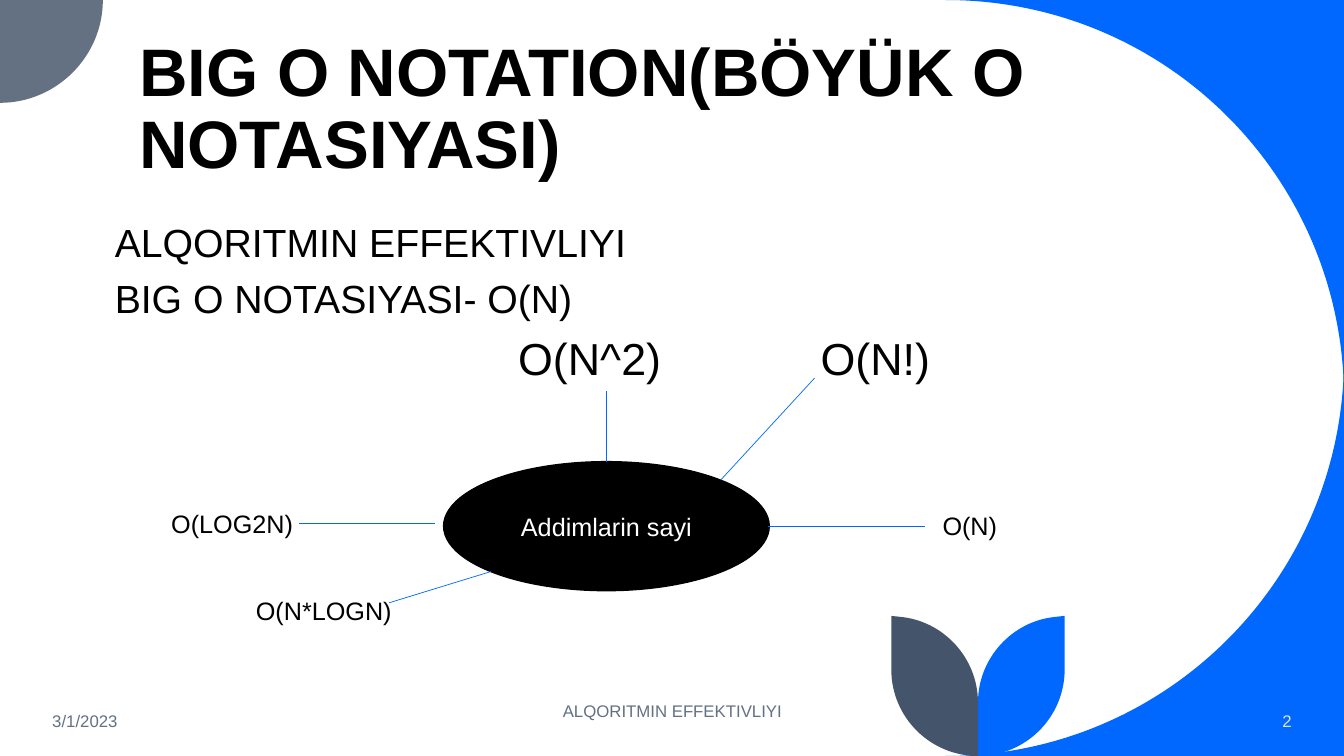
"""Build the Big O notation slide with its complexity diagram."""
from dataclasses import dataclass
from typing import Optional

from lxml import etree
from pptx import Presentation
from pptx.dml.color import RGBColor
from pptx.enum.shapes import MSO_CONNECTOR, MSO_SHAPE
from pptx.enum.text import MSO_ANCHOR, MSO_AUTO_SIZE, PP_ALIGN
from pptx.oxml.ns import qn
from pptx.util import Inches, Pt

Point = tuple[float, float]


@dataclass(frozen=True)
class Theme:
    font: str = "Arial"
    black: str = "000000"
    white: str = "FFFFFF"
    blue: str = "0068FF"
    slate: str = "637183"
    navy: str = "44546A"
    pale: str = "DAE5EF"
    title: int = 48
    large: int = 32
    body: int = 28
    label: int = 18
    footer: int = 12


@dataclass(frozen=True)
class Label:
    text: str
    box: tuple[float, float, float, float]
    size: int
    color: str
    align: PP_ALIGN = PP_ALIGN.LEFT
    anchor: MSO_ANCHOR = MSO_ANCHOR.TOP
    wrap: bool = True


@dataclass(frozen=True)
class Outline:
    start: Point
    segments: tuple[tuple[Point, ...], ...]
    color: str
    mirror_x: Optional[float] = None
    mirror_y: Optional[float] = None

    def place(self, point: Point) -> Point:
        x, y = point
        if self.mirror_x is not None:
            x = 2 * self.mirror_x - x
        if self.mirror_y is not None:
            y = 2 * self.mirror_y - y
        return Inches(x), Inches(y)


T = Theme()
WIDTH, HEIGHT = 13.33, 7.5

CORNER = ((WIDTH, 0), (((9.38, 0),), ((11.57, 0), (WIDTH, 1.77), (WIDTH, 3.95))))
QUARTER = ((0, 0), (((1.02, 0),), ((1.02, 0.56), (0.56, 1.02), (0, 1.02))))
LEAF = ((10.56, 6.11), (
    ((10.56, 6.64),),
    ((10.56, 7.12), (10.17, 7.5), (9.7, 7.5)),
    ((9.7, 6.97),),
    ((9.7, 6.53), (10.04, 6.16), (10.47, 6.12)),
))
OUTLINES = (
    Outline(*CORNER, T.blue),
    Outline(*CORNER, T.blue, mirror_y=HEIGHT / 2),
    Outline(*QUARTER, T.slate),
    Outline(*LEAF, T.blue),
    Outline(*LEAF, T.navy, mirror_x=9.7),
)
LABELS = (
    Label("O(N)", (9.25, 5.01, 0.77, 0.4), T.label, T.black),
    Label("O(LOG2N)", (1.6, 4.99, 1.49, 0.4), T.label, T.black),
    Label("O(N*LOGN)", (2.44, 5.86, 1.56, 0.4), T.label, T.black, wrap=False),
    Label("3/1/2023", (0.42, 6.95, 3, 0.4), T.footer, T.slate,
          anchor=MSO_ANCHOR.MIDDLE),
    Label("ALQORITMIN EFFEKTIVLIYI", (4.42, 6.85, 4.5, 0.4), T.footer, T.slate,
          PP_ALIGN.CENTER, MSO_ANCHOR.MIDDLE),
    Label("2", (11.1, 6.95, 1.81, 0.4), T.footer, T.pale,
          PP_ALIGN.RIGHT, MSO_ANCHOR.MIDDLE),
)
SPOKES = (
    ((7.62, 5.22), (9.17, 5.22)),
    ((4.31, 5.19), (2.97, 5.19)),
    ((4.87, 5.67), (3.86, 5.98)),
    ((6.01, 5.86), (6.01, 5.86)),
    ((6.01, 3.88), (6.01, 4.58)),
    ((7.15, 4.76), (8.08, 3.75)),
)
BODY = (
    ("ALQORITMIN EFFEKTIVLIYI", T.body),
    ("BIG O NOTASIYASI- O(N)", T.body),
    ("\tO(N^2)\tO(N!)", T.large),
)
BODY_TABS = (4, 7)


def rgb(color: str) -> RGBColor:
    return RGBColor.from_string(color)


def add_run(p, text: str, size: int, color: str, bold: bool = False) -> None:
    r = p.add_run()
    r.text = text
    r.font.name, r.font.size, r.font.bold = T.font, Pt(size), bold
    r.font.color.rgb = rgb(color)


def round_segments(sp, segments: tuple[tuple[Point, ...], ...]) -> None:
    steps = iter(list(sp._element.iter(qn("a:lnTo"))))
    for segment in segments:
        first, *others = [next(steps) for _ in segment]
        if others:
            first.tag = qn("a:cubicBezTo")
            for step in others:
                first.append(step[0])
                step.getparent().remove(step)


def add_outline(s, outline: Outline) -> None:
    points = [outline.place(pt) for segment in outline.segments for pt in segment]
    builder = s.shapes.build_freeform(*outline.place(outline.start))
    builder.add_line_segments(points, close=True)
    sp = builder.convert_to_shape()
    round_segments(sp, outline.segments)
    sp.shadow.inherit = False
    sp.fill.solid()
    sp.fill.fore_color.rgb = rgb(outline.color)
    sp.line.fill.background()


def add_label(s, label: Label) -> None:
    tf = s.shapes.add_textbox(*map(Inches, label.box)).text_frame
    tf.word_wrap, tf.vertical_anchor = label.wrap, label.anchor
    p = tf.paragraphs[0]
    p.alignment = label.align
    add_run(p, label.text, label.size, label.color)


def add_spoke(s, start: Point, end: Point) -> None:
    line = s.shapes.add_connector(MSO_CONNECTOR.STRAIGHT, *map(Inches, start + end))
    line.line.color.rgb = rgb(T.blue)
    line.line.width = Pt(0.5)
    etree.SubElement(line._element.spPr, qn("a:effectLst"))


def add_title(s) -> None:
    sp = s.shapes.title
    sp.left, sp.top, sp.width, sp.height = map(Inches, (1.28, 0.42, 10.69, 1.45))
    tf = sp.text_frame
    tf.word_wrap, tf.auto_size = True, MSO_AUTO_SIZE.NONE
    tf.vertical_anchor = MSO_ANCHOR.BOTTOM
    p = tf.paragraphs[0]
    p.alignment, p.line_spacing = PP_ALIGN.LEFT, 0.9
    add_run(p, "BIG O NOTATION(BÖYÜK O NOTASIYASI)", T.title, T.black, bold=True)


def add_body(s) -> None:
    tf = s.shapes.add_textbox(*map(Inches, (1.04, 2.17, 10.69, 3.68))).text_frame
    tf.word_wrap = True
    for i, (text, size) in enumerate(BODY):
        p = tf.add_paragraph() if i else tf.paragraphs[0]
        p.line_spacing, p.space_before = 0.9, Pt(10)
        if "\t" in text:
            tabs = etree.SubElement(p._p.get_or_add_pPr(), qn("a:tabLst"))
            for stop in BODY_TABS:
                etree.SubElement(tabs, qn("a:tab"), pos=str(Inches(stop)), algn="l")
        add_run(p, text, size, T.black)


def add_hub(s) -> None:
    sp = s.shapes.add_shape(MSO_SHAPE.OVAL, *map(Inches, (4.4, 4.58, 3.23, 1.28)))
    sp.shadow.inherit = False
    sp.fill.solid()
    sp.fill.fore_color.rgb = sp.line.color.rgb = rgb(T.black)
    sp.line.width = Pt(1)
    tf = sp.text_frame
    tf.vertical_anchor = MSO_ANCHOR.MIDDLE
    p = tf.paragraphs[0]
    p.alignment = PP_ALIGN.CENTER
    add_run(p, "Addimlarin sayi", T.label, T.white)


prs = Presentation()
prs.slide_width, prs.slide_height = Inches(WIDTH), Inches(HEIGHT)
s = prs.slides.add_slide(prs.slide_layouts.get_by_name("Title Only"))
for outline in OUTLINES:
    add_outline(s, outline)
add_title(s)
add_body(s)
add_hub(s)
for start, end in SPOKES:
    add_spoke(s, start, end)
for label in LABELS:
    add_label(s, label)
prs.save("out.pptx")
